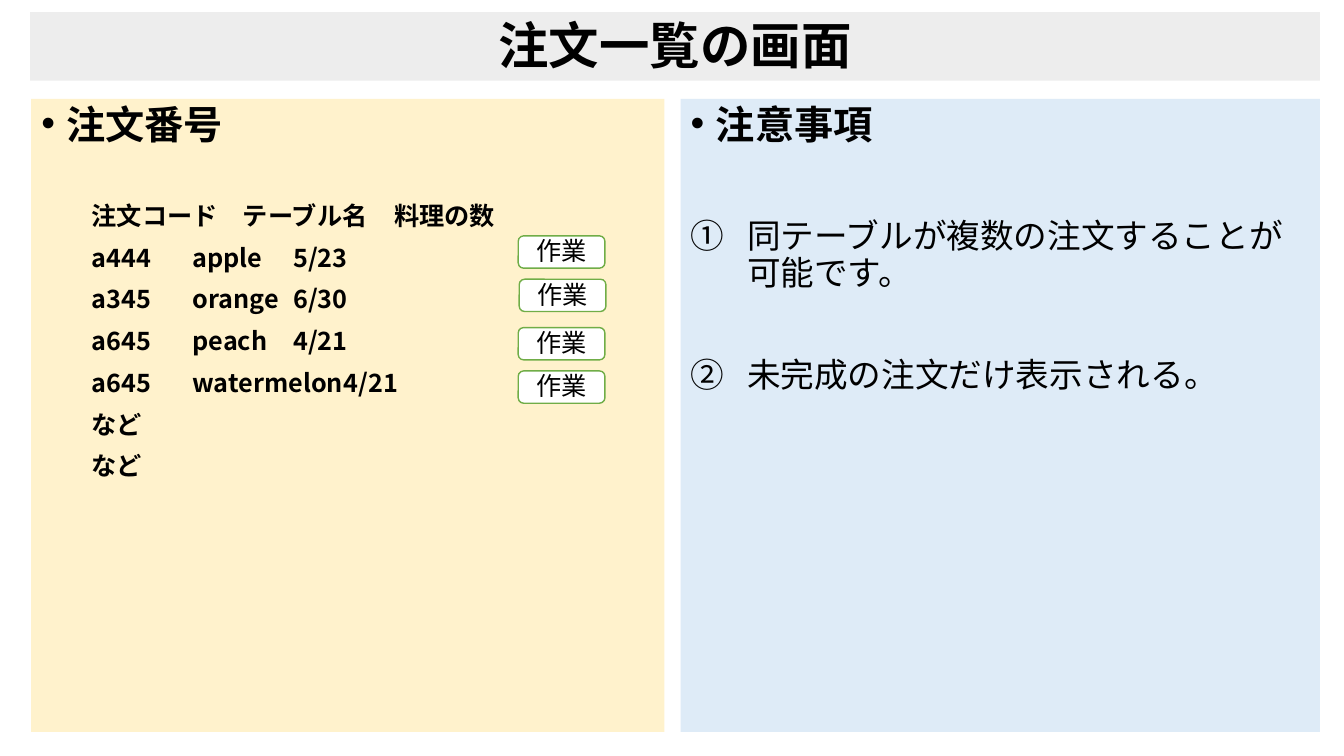
"""Build the order list screen slide."""
import dataclasses
import typing

import lxml.etree
import pptx
import pptx.dml.color
import pptx.enum.shapes
import pptx.enum.text
import pptx.oxml.ns
import pptx.util

Inches = pptx.util.Inches
Pt = pptx.util.Pt
FONT = "Noto Sans CJK JP"
LINE_RATIO = 1.1
CENTER = pptx.enum.text.PP_ALIGN.CENTER
LEFT = pptx.enum.text.PP_ALIGN.LEFT
TOP = pptx.enum.text.MSO_ANCHOR.TOP
MIDDLE = pptx.enum.text.MSO_ANCHOR.MIDDLE


@dataclasses.dataclass(frozen=True)
class Box:
    """Position and size in inches."""
    left: float
    top: float
    width: float
    height: float


@dataclasses.dataclass(frozen=True)
class Entry:
    """One paragraph with its size, gap above, bullet, indent and tab stops."""
    text: str
    size: float = 18
    bold: bool = True
    before: float = 10
    indent: float = 0
    bullet: tuple[str, dict[str, str]] = ("a:buNone", {})
    tabs: tuple[float, ...] = ()
    align: typing.Any = LEFT


@dataclasses.dataclass(frozen=True)
class Order:
    """One order row and the places of its dish count and work button."""
    code: str
    table: str
    dishes: str
    dishes_tab: float
    button_left: float
    button_top: float


def rgb(color: str) -> pptx.dml.color.RGBColor:
    """Turn a hex string into a colour."""
    return pptx.dml.color.RGBColor.from_string(color)


def apply(target: typing.Any, values: dict[str, typing.Any]) -> None:
    """Set each named attribute on the target."""
    for name, value in values.items():
        setattr(target, name, value)


def add_xml(parent: typing.Any, tag: str, attributes: dict[str, str]) -> typing.Any:
    """Append a DrawingML element."""
    return lxml.etree.SubElement(parent, pptx.oxml.ns.qn(tag), attributes)


def place(shape: typing.Any, box: Box, color: str) -> None:
    """Move, size and fill a shape."""
    apply(shape, {name: Inches(value) for name, value in dataclasses.asdict(box).items()})
    shape.fill.solid()
    shape.fill.fore_color.rgb = rgb(color)


def write(shape: typing.Any, entries: list[Entry], anchor: typing.Any,
          insets: tuple[float, float] = (0.1, 0.05)) -> None:
    """Write the entries as formatted paragraphs."""
    frame = shape.text_frame
    side, end = (Inches(inset) for inset in insets)
    apply(frame, {"word_wrap": True, "vertical_anchor": anchor,
                  "auto_size": pptx.enum.text.MSO_AUTO_SIZE.NONE,
                  "margin_left": side, "margin_right": side,
                  "margin_top": end, "margin_bottom": end})
    for number, entry in enumerate(entries):
        paragraph = frame.add_paragraph() if number else frame.paragraphs[0]
        apply(paragraph, {"alignment": entry.align, "space_before": Pt(entry.before),
                          "line_spacing": Pt(entry.size * LINE_RATIO)})
        run = paragraph.add_run()
        run.text = entry.text
        apply(run.font, {"size": Pt(entry.size), "bold": entry.bold, "name": FONT})
        run.font.color.rgb = rgb("000000")
        add_xml(run.font._element, "a:ea", {"typeface": FONT})
        properties = paragraph._p.get_or_add_pPr()
        properties.set("marL", str(Inches(entry.indent)))
        properties.set("indent", str(-Inches(entry.indent)))
        add_xml(properties, *entry.bullet)
        if entry.tabs:
            tab_list = add_xml(properties, "a:tabLst", {})
            for tab in entry.tabs:
                add_xml(tab_list, "a:tab", {"pos": str(Inches(tab)), "algn": "l"})


def heading(text: str) -> Entry:
    """Describe a panel heading."""
    return Entry(text, 28, before=0, indent=0.25, bullet=("a:buChar", {"char": "•"}))


def note(text: str, before: float) -> Entry:
    """Describe a numbered note."""
    return Entry(text, 24, False, before, 0.56,
                 ("a:buAutoNum", {"type": "circleNumDbPlain"}))


def add_button(slide: typing.Any, order: Order) -> None:
    """Draw the work button of an order."""
    button = slide.shapes.add_shape(
        pptx.enum.shapes.MSO_SHAPE.ROUNDED_RECTANGLE, 0, 0, 0, 0)
    place(button, Box(order.button_left, order.button_top, 0.86, 0.32), "FFFFFF")
    button.shadow.inherit = False
    button.line.color.rgb = rgb("70AD47")
    button.line.width = Pt(1)
    write(button, [Entry("作業", bold=False, before=0, align=CENTER)], MIDDLE, (0, 0))


ORDERS = [
    Order("a444", "apple", "5/23", 3.82, 5.14, 2.34),
    Order("a345", "orange", "6/30", 3.87, 5.15, 2.77),
    Order("a645", "peach", "4/21", 3.87, 5.14, 3.25),
    Order("a645", "watermelon", "4/21", 3.95, 5.14, 3.68),
]
ORDER_LIST = [
    heading("注文番号"),
    Entry("\t注文コード\tテーブル名\t料理の数", before=39.8, tabs=(0.25, 2, 3.48)),
    *(Entry(f"\t{order.code}\t{order.table}\t{order.dishes}",
            tabs=(0.47, 2.03, order.dishes_tab)) for order in ORDERS),
    *[Entry("\tなど", tabs=(0.4,))] * 2,
]
NOTES = [
    heading("注意事項"),
    note("同テーブルが複数の注文することが可能です。", 50.8),
    note("未完成の注文だけ表示される。", 46.4),
]


def main() -> None:
    """Build and save the slide."""
    presentation = pptx.Presentation()
    apply(presentation, {"slide_width": Inches(13.33), "slide_height": Inches(7.5)})
    slide = presentation.slides.add_slide(presentation.slide_layouts[3])
    title, order_panel, note_panel = slide.placeholders
    place(title, Box(0.3, 0.12, 12.79, 0.68), "EDEDED")
    write(title, [Entry("注文一覧の画面", 36, before=0, align=CENTER)], MIDDLE)
    place(order_panel, Box(0.31, 0.98, 6.28, 6.28), "FFF2CC")
    write(order_panel, ORDER_LIST, TOP)
    place(note_panel, Box(6.75, 0.98, 6.34, 6.28), "DEEBF7")
    write(note_panel, NOTES, TOP)
    for order in ORDERS:
        add_button(slide, order)
    presentation.save("out.pptx")


main()
